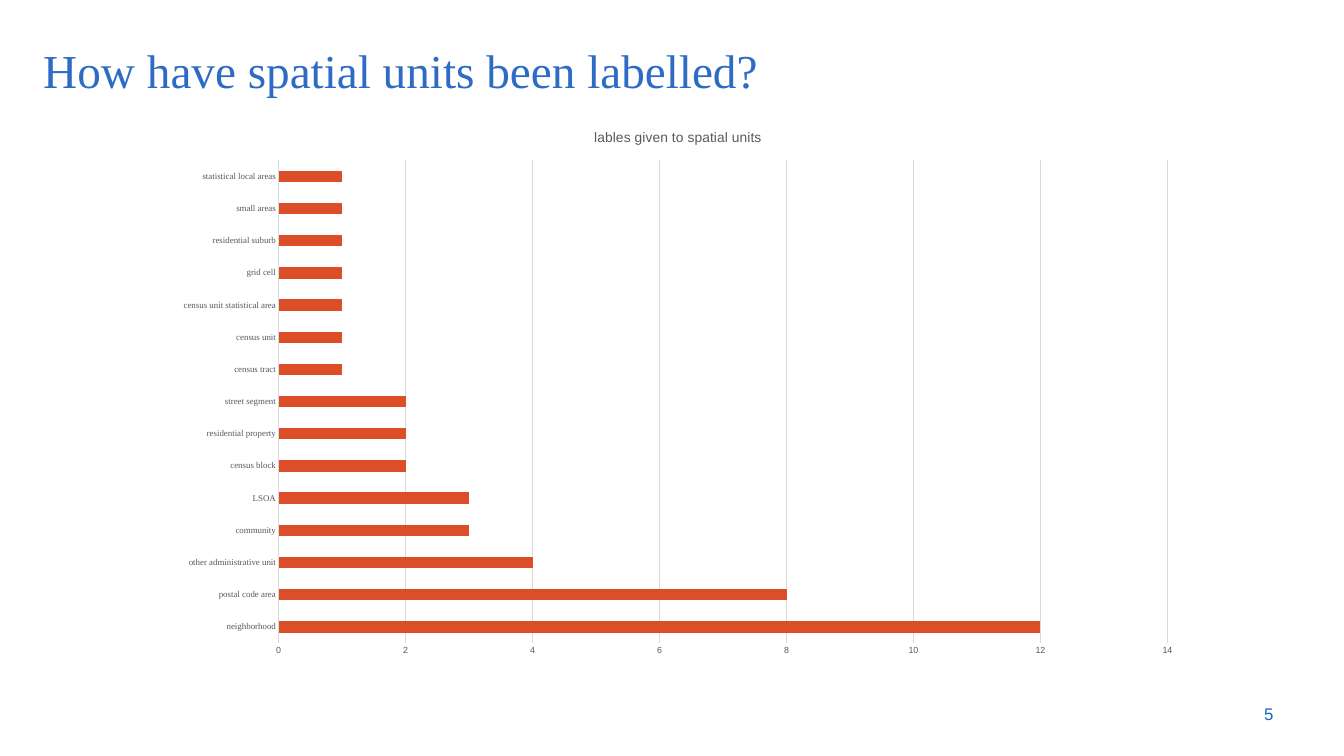
from pptx import Presentation
from pptx.chart.data import CategoryChartData
from pptx.dml.color import RGBColor
from pptx.enum.chart import XL_CHART_TYPE, XL_TICK_MARK
from pptx.enum.text import MSO_ANCHOR, PP_ALIGN
from pptx.util import Cm, Pt

HEADING_BLUE = RGBColor(0x2D, 0x6B, 0xC5)
NUMBER_BLUE = RGBColor(0x1E, 0x64, 0xC8)
BAR_ORANGE = RGBColor(0xDC, 0x4E, 0x28)
LABEL_GREY = RGBColor(0x59, 0x59, 0x59)
LINE_GREY = RGBColor(0xD9, 0xD9, 0xD9)

UNIT_COUNTS = {
    "neighborhood": 12,
    "postal code area": 8,
    "other administrative unit": 4,
    "community": 3,
    "LSOA": 3,
    "census block": 2,
    "residential property": 2,
    "street segment": 2,
    "census tract": 1,
    "census unit": 1,
    "census unit statistical area": 1,
    "grid cell": 1,
    "residential suburb": 1,
    "small areas": 1,
    "statistical local areas": 1,
}


def set_font(font, name, size, color):
    font.name = name
    font.size = Pt(size)
    font.color.rgb = color


presentation = Presentation()
presentation.slide_width = Cm(48.16)
presentation.slide_height = Cm(27.1)
slide = presentation.slides.add_slide(presentation.slide_layouts[6])

# Heading
heading = slide.shapes.add_textbox(Cm(1.3), Cm(0.79), Cm(41.48), Cm(2.49)).text_frame
heading.word_wrap = True
heading.margin_top = Cm(0.3)
heading_line = heading.paragraphs[0]
heading_line.text = "How have spatial units been labelled?"
heading_line.line_spacing = 1.2
set_font(heading_line.font, "Times New Roman", 48, HEADING_BLUE)

# Bar chart of label counts
label_counts = CategoryChartData()
label_counts.categories = list(UNIT_COUNTS)
label_counts.add_series("Series 1", list(UNIT_COUNTS.values()))
chart = slide.shapes.add_chart(
    XL_CHART_TYPE.BAR_CLUSTERED, Cm(5.84), Cm(3.96), Cm(36.91), Cm(19.96), label_counts
).chart
set_font(chart.font, "Arial", 10, LABEL_GREY)
chart.has_legend = False
chart.has_title = True
chart_title = chart.chart_title.text_frame.paragraphs[0]
chart_title.text = "lables given to spatial units"
set_font(chart_title.font, "Arial", 14, LABEL_GREY)
chart_title.font.bold = False

bars = chart.plots[0]
bars.gap_width = 182
bars.vary_by_categories = False
bars.series[0].format.fill.solid()
bars.series[0].format.fill.fore_color.rgb = BAR_ORANGE

units, counts = chart.category_axis, chart.value_axis
for axis, font_name in ((units, "Times New Roman"), (counts, "Arial")):
    axis.major_tick_mark = XL_TICK_MARK.NONE
    axis.minor_tick_mark = XL_TICK_MARK.NONE
    set_font(axis.tick_labels.font, font_name, 9, LABEL_GREY)
counts.minimum_scale = 0
counts.maximum_scale = 14
counts.major_unit = 2
counts.has_major_gridlines = True
counts.format.line.fill.background()
for line in (units.format.line, counts.major_gridlines.format.line):
    line.color.rgb = LINE_GREY
    line.width = Pt(0.75)

# Slide number
number = slide.shapes.add_textbox(Cm(43.31), Cm(24.87), Cm(2.57), Cm(1.45)).text_frame
number.word_wrap = True
number.vertical_anchor = MSO_ANCHOR.MIDDLE
number_line = number.paragraphs[0]
number_line.text = "5"
number_line.alignment = PP_ALIGN.RIGHT
set_font(number_line.font, "Arial", 17.1, NUMBER_BLUE)

presentation.save("out.pptx")
